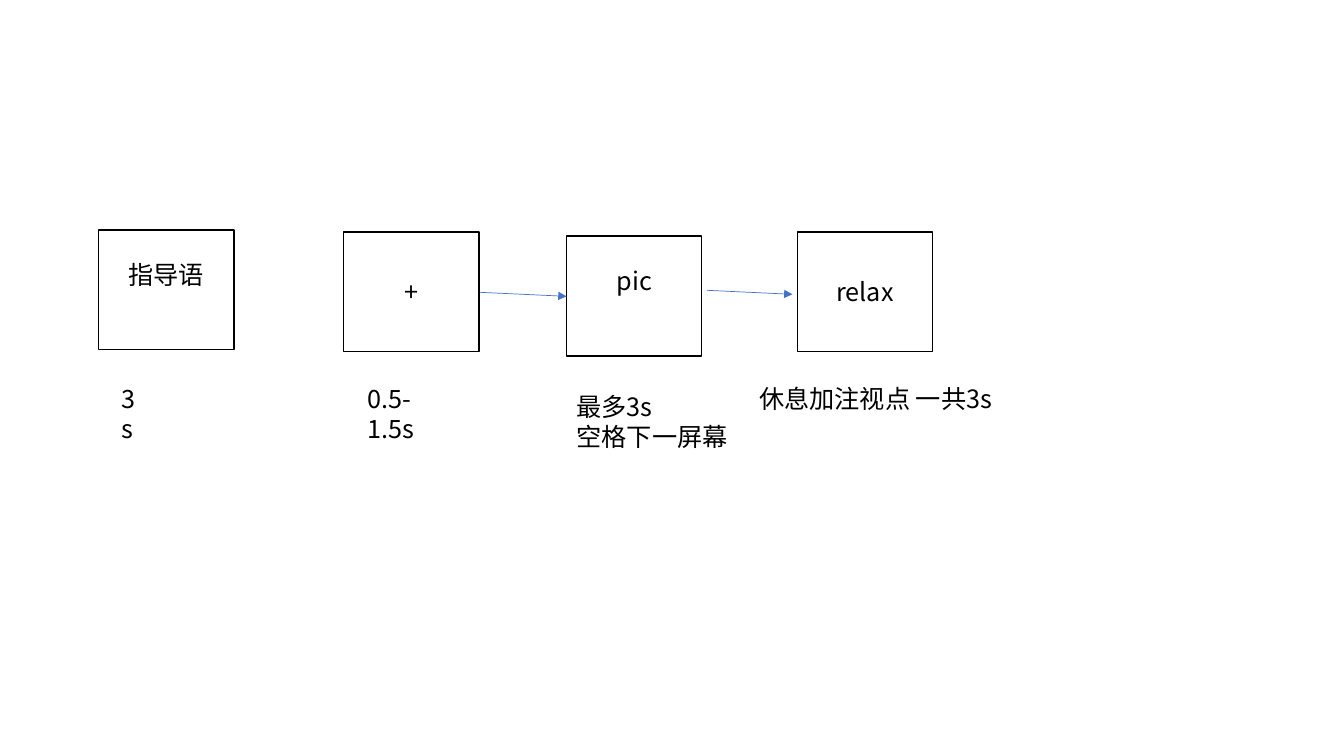
from lxml.etree import SubElement
from pptx import Presentation
from pptx.dml.color import RGBColor
from pptx.enum.shapes import MSO_CONNECTOR as Connector, MSO_SHAPE as Shape
from pptx.enum.text import MSO_ANCHOR as Anchor, MSO_AUTO_SIZE as AutoSize, PP_ALIGN as Align
from pptx.oxml.ns import qn
from pptx.util import Inches, Pt


def colour(value):
    return RGBColor.from_string(value)


class TrialPage:
    """Draws the steps of an experiment trial on one slide."""

    font, size = "Noto Sans CJK SC", 18
    ink, paper, accent = "000000", "FFFFFF", "4472C4"
    box_width, box_height = 1.34, 1.19

    def __init__(self, page):
        self.page = page

    def set_text(self, frame, text, align):
        frame.text = text
        frame.word_wrap = True
        para = frame.paragraphs[0]
        para.alignment = align
        para.font.name = self.font
        para.font.size = Pt(self.size)
        para.font.color.rgb = colour(self.ink)
        defaults = para.font._element
        SubElement(defaults, qn("a:ea"), typeface=self.font)

    def screen(self, left, top, text, bottom_margin):
        box = self.page.shapes.add_shape(
            Shape.RECTANGLE, Inches(left), Inches(top),
            Inches(self.box_width), Inches(self.box_height))
        box.shadow.inherit = False
        box.fill.solid()
        box.fill.fore_color.rgb = colour(self.paper)
        box.line.color.rgb = colour(self.ink)
        box.line.width = Pt(1)
        frame = box.text_frame
        frame.vertical_anchor = Anchor.MIDDLE
        frame.margin_bottom = Inches(bottom_margin)
        self.set_text(frame, text, Align.CENTER)

    def caption(self, left, top, width, height, text):
        box = self.page.shapes.add_textbox(
            Inches(left), Inches(top), Inches(width), Inches(height))
        self.set_text(box.text_frame, text, Align.LEFT)
        box.text_frame.auto_size = AutoSize.SHAPE_TO_FIT_TEXT

    def arrow(self, left, top, right, bottom):
        connector = self.page.shapes.add_connector(
            Connector.STRAIGHT, Inches(left), Inches(top), Inches(right), Inches(bottom))
        connector.line.color.rgb = colour(self.accent)
        connector.line.width = Pt(0.5)
        SubElement(connector.get_or_add_ln(), qn("a:tailEnd"), type="triangle")
        SubElement(connector._element.spPr, qn("a:effectLst"))


def main():
    deck = Presentation()
    deck.slide_width, deck.slide_height = Inches(13.33), Inches(7.5)
    trial = TrialPage(deck.slides.add_slide(deck.slide_layouts[6]))

    centred, raised = 0.05, 0.35
    for screen in (
        (0.98, 2.28, "指导语", raised),
        (3.41, 2.3, "+", centred),
        (5.62, 2.34, "pic", raised),
        (7.91, 2.3, "relax", centred),
    ):
        trial.screen(*screen)

    for arrow in ((4.76, 2.9, 5.62, 2.94), (7.01, 2.88, 7.86, 2.92)):
        trial.arrow(*arrow)

    for caption in (
        (1.11, 3.75, 0.44, 0.4, "3s"),
        (3.55, 3.75, 1.08, 0.4, "0.5-1.5s"),
        (5.62, 3.83, 1.72, 0.71, "最多3s\v空格下一屏幕"),
        (7.43, 3.75, 2.53, 0.4, "休息加注视点 一共3s"),
    ):
        trial.caption(*caption)

    deck.save("out.pptx")


if __name__ == "__main__":
    main()
